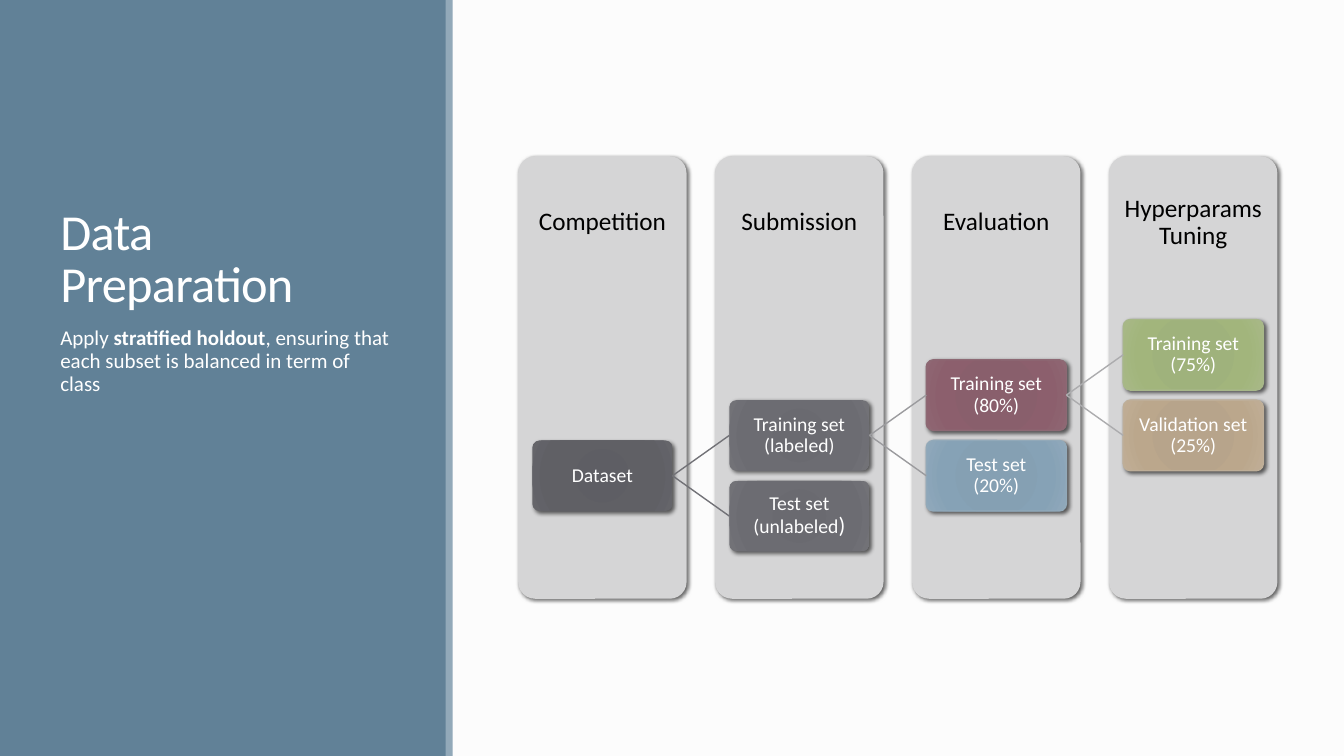
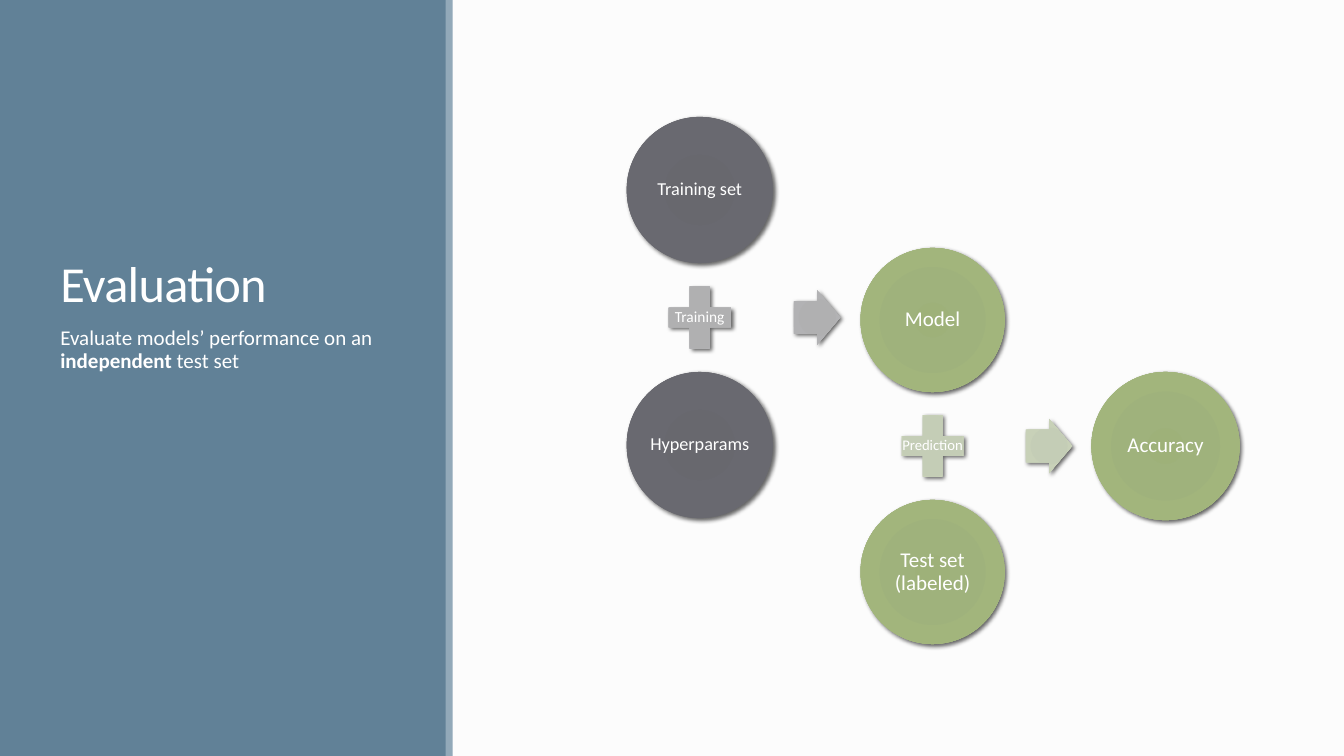
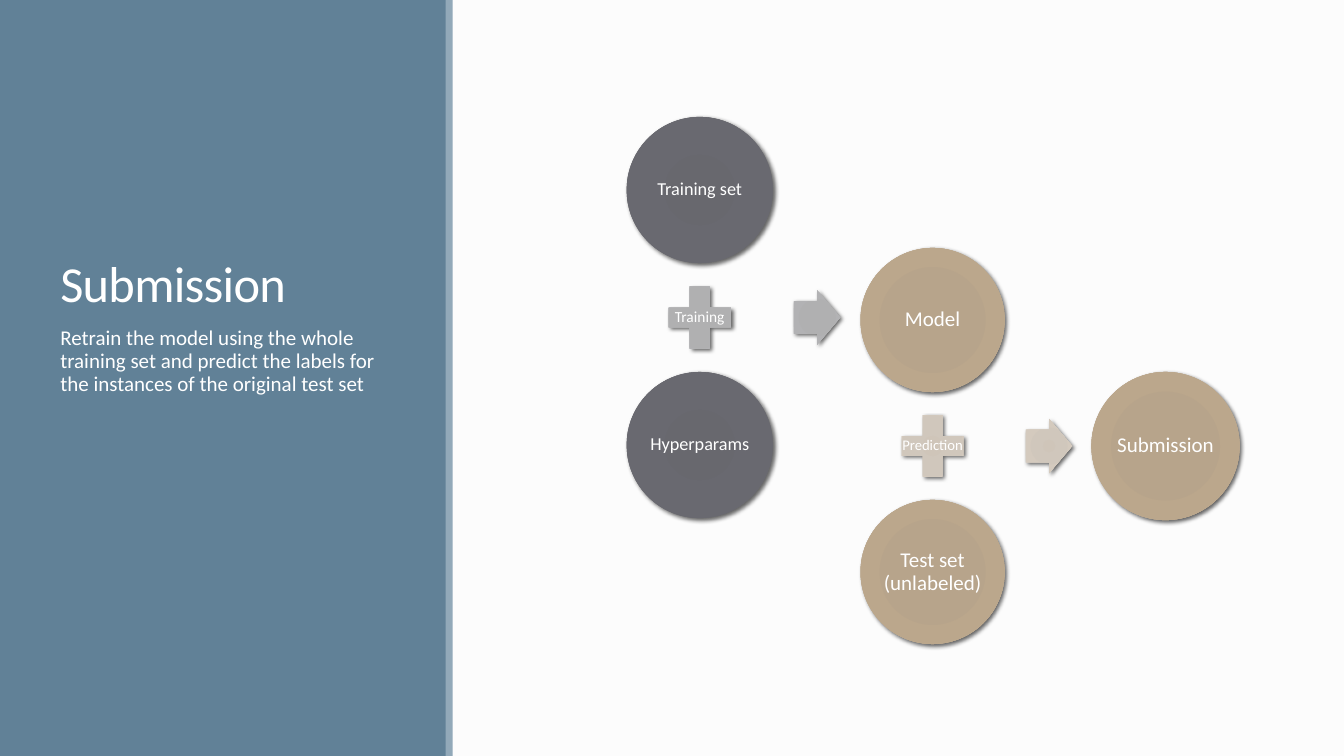
from lxml import etree
from pptx import Presentation
from pptx.dml.color import RGBColor
from pptx.enum.shapes import MSO_CONNECTOR, MSO_SHAPE
from pptx.enum.text import MSO_ANCHOR, PP_ALIGN
from pptx.oxml.ns import qn
from pptx.util import Inches, Pt

RECTANGLE = MSO_SHAPE.RECTANGLE
ROUNDED = MSO_SHAPE.ROUNDED_RECTANGLE
CIRCLE = MSO_SHAPE.OVAL
PLUS = MSO_SHAPE.MATH_PLUS
ARROW = MSO_SHAPE.RIGHT_ARROW
STRAIGHT = MSO_CONNECTOR.STRAIGHT
LEFT, CENTER = PP_ALIGN.LEFT, PP_ALIGN.CENTER
TOP, MIDDLE, BOTTOM = MSO_ANCHOR.TOP, MSO_ANCHOR.MIDDLE, MSO_ANCHOR.BOTTOM
LEFT_SITE, RIGHT_SITE = 1, 3

FONT = "Calibri"
WHITE, BLACK = "FFFFFF", "000000"
PAPER, BAND, BAND_EDGE, COLUMN = "FCFCFC", "618197", "92A9B9", "D5D5D6"

STOPS = (0, 34, 70, 100)
CHARCOAL = ("5D5D63", "5E5E64", "606065", "65656A")
SLATE = ("69696F", "6A6A70", "6C6C72", "727277")
GRAPHITE = ("67676D", "68686E", "696970", "6F6F74")
SILVER = ("AEAEB0", "B0B0B1", "B2B2B4", "BBBBBC")
PLUM = ("885D6A", "895F6C", "8C5F6D", "8F6773")
BLUE = ("839EB2", "85A0B3", "86A2B6", "90A9BB")
GREEN = ("9EB179", "9FB27C", "A2B57C", "A8B987")
PALE_GREEN = ("C3CCB4", "C4CDB6", "C8D1B8", "D0D9C3")
SAND = ("B6A388", "B7A48B", "BBA78C", "C0AE96")
PALE_SAND = ("CFC5B9", "D0C7BC", "D4CABE", "DCD3C9")


def rgb(color):
    return RGBColor.from_string(color)


def add_node(parent, tag, **attributes):
    values = {name: str(value) for name, value in attributes.items()}
    return etree.SubElement(parent, qn(tag), values)


class Deck:
    def __init__(self):
        self.deck = Presentation()
        self.deck.slide_width = Inches(13.33)
        self.deck.slide_height = Inches(7.5)
        self.page = None

    def add_page(self, title, body):
        self.page = self.deck.slides.add_slide(self.deck.slide_layouts[6])
        fill = self.page.background.fill
        fill.solid()
        fill.fore_color.rgb = rgb(PAPER)
        self.shape(RECTANGLE, 0, 0, 4.43, 7.5, BAND, shadow=False)
        self.shape(RECTANGLE, 4.42, 0, 0.07, 7.5, BAND_EDGE, shadow=False)
        heading = self.text(0.5, 0.65, 3.5, 2.5, title, 36, anchor=BOTTOM, spacing=0.85)
        for span in heading.runs:
            span._r.get_or_add_rPr().set("spc", "-50")
        para = self.text(0.5, 3.2, 3.5, 3.7, body[0], 15)
        para.space_before, para.space_after = Pt(12), Pt(2)
        for index, words in enumerate(body[1:], 1):
            span = para.add_run()
            span.text = words
            span.font.bold = index % 2 == 1

    def label(self, box, text, size, color=WHITE, align=CENTER, anchor=MIDDLE,
              spacing=0.9, inset=(0.02, 0.02), wrap=True):
        frame = box.text_frame
        frame.word_wrap = wrap
        frame.vertical_anchor = anchor
        frame.margin_left = frame.margin_right = Inches(inset[0])
        frame.margin_top = frame.margin_bottom = Inches(inset[1])
        para = frame.paragraphs[0]
        para.text = text
        para.alignment = align
        para.line_spacing = spacing
        para.font.name = FONT
        para.font.size = Pt(size)
        para.font.color.rgb = rgb(color)
        return para

    def text(self, left, top, width, height, text, size, color=WHITE, align=LEFT,
             anchor=TOP, spacing=0.9, inset=(0.1, 0.05)):
        box = self.page.shapes.add_textbox(
            Inches(left), Inches(top), Inches(width), Inches(height))
        return self.label(box, text, size, color, align, anchor, spacing, inset)

    def shape(self, kind, left, top, width, height, fill, line=None, shadow=True,
              adjust=()):
        shape = self.page.shapes.add_shape(
            kind, Inches(left), Inches(top), Inches(width), Inches(height))
        for index, value in enumerate(adjust):
            shape.adjustments[index] = value
        if isinstance(fill, str):
            shape.fill.solid()
            shape.fill.fore_color.rgb = rgb(fill)
        else:
            self.radial_fill(shape, fill)
        if line:
            shape.line.color.rgb = rgb(line)
            shape.line.width = Pt(1)
        else:
            shape.line.fill.background()
        shape.shadow.inherit = False
        if shadow:
            self.drop_shadow(shape)
        return shape

    def radial_fill(self, shape, colors):
        shape.fill.gradient()
        gradient = shape._element.spPr.find(qn("a:gradFill"))
        for child in list(gradient):
            gradient.remove(child)
        stops = add_node(gradient, "a:gsLst")
        for position, color in zip(STOPS, colors):
            stop = add_node(stops, "a:gs", pos=position * 1000)
            add_node(stop, "a:srgbClr", val=color)
        circle = add_node(gradient, "a:path", path="circle")
        add_node(circle, "a:fillToRect", l=100000, t=100000, r=100000, b=100000)

    def drop_shadow(self, shape):
        effects = shape._element.spPr.find(qn("a:effectLst"))
        outer = add_node(effects, "a:outerShdw", blurRad=Pt(3), dist=Pt(2),
                         dir=45 * 60000, algn="ctr", rotWithShape=0)
        add_node(add_node(outer, "a:srgbClr", val=BLACK), "a:alpha", val=60000)

    def link(self, parent, child, color):
        link = self.page.shapes.add_connector(STRAIGHT, 0, 0, 0, 0)
        link.begin_connect(parent, RIGHT_SITE)
        link.end_connect(child, LEFT_SITE)
        link.line.color.rgb = rgb(color)
        link.line.width = Pt(1)
        add_node(link._element.spPr, "a:effectLst")

    def circle(self, center, top, size, fill, text, points):
        self.label(self.shape(CIRCLE, center - size / 2, top, size, size, fill),
                   text, points)

    def sum_stack(self, center, top, size, plus, labels, fill, pale, points, plus_points):
        gap = 0.12
        plus_top = top + size + gap
        first, operation, second = labels
        self.circle(center, top, size, fill, first, points)
        sign = self.shape(PLUS, center - plus / 2, plus_top, plus, plus, pale)
        self.label(sign, operation, plus_points, inset=(0, 0), wrap=False)
        self.circle(center, plus_top + plus + gap, size, fill, second, points)
        middle = plus_top + plus / 2
        self.shape(ARROW, center + size / 2 + 0.21, middle - 0.27, 0.46, 0.54, pale,
                   adjust=(0.6, 0.5))
        return middle

    def add_flow(self, fill, pale, test_set, result):
        self.sum_stack(6.94, 1.16, 1.45, 0.84, ("Training set", "Training", "Hyperparams"),
                       GRAPHITE, SILVER, 13, 11)
        middle = self.sum_stack(9.25, 2.46, 1.43, 0.83, ("Model", "Prediction", test_set),
                                fill, pale, 15, 10.5)
        size = 1.47
        self.circle(11.56, middle - size / 2, size, fill, result, 15)

    def add_split_tree(self, headers, nodes, link_colors):
        lefts = [5.14 + index * (11 - 5.14) / 3 for index in range(len(headers))]
        for left, header in zip(lefts, headers):
            self.shape(ROUNDED, left, 1.55, 1.67, 4.39, COLUMN, adjust=(0.1,))
            self.text(left, 1.55, 1.67, 1.32, header, 18, BLACK, CENTER, MIDDLE,
                      inset=(0.14, 0.14))
        boxes = []
        for column, step, text, fill, line, parent in nodes:
            box = self.shape(ROUNDED, lefts[column] + 0.14, 3.17 + 0.4 * step, 1.39, 0.7,
                             fill, line, adjust=(0.1,))
            para = self.label(box, text, 14)
            if text.endswith("(unlabeled"):
                span = para.add_run()
                span.text = ")"
                span.font.size = Pt(16)
            if parent is not None:
                self.link(boxes[parent], box, link_colors[column - 1])
            boxes.append(box)


def main():
    slides = Deck()

    slides.add_page("Data Preparation", (
        "Apply ", "stratified holdout",
        ", ensuring that each subset is balanced in term of class"))
    slides.add_split_tree(
        ("Competition", "Submission", "Evaluation", "Hyperparams Tuning"),
        (
            (0, 3, "Dataset", CHARCOAL, None, None),
            (1, 2, "Training set\n(labeled)", SLATE, None, 0),
            (1, 4, "Test set\n(unlabeled", SLATE, None, 0),
            (2, 1, "Training set\n(80%)", PLUM, "8D6974", 1),
            (2, 3, "Test set\n(20%)", BLUE, "92A9B9", 1),
            (3, 0, "Training set\n(75%)", GREEN, "A7B789", 3),
            (3, 2, "Validation set\n(25%)", SAND, "BEAE98", 3),
        ),
        ("727277", "9B9B9E", "ACACAE"))

    slides.add_page("Evaluation", (
        "Evaluate models’ performance on an ", "independent ", "test set"))
    slides.add_flow(GREEN, PALE_GREEN, "Test set\n(labeled)", "Accuracy")

    slides.add_page("Submission", (
        "Retrain the model using the whole training set and predict the labels "
        "for the instances of the original test set",))
    slides.add_flow(SAND, PALE_SAND, "Test set\n(unlabeled)", "Submission")

    slides.deck.save("out.pptx")


if __name__ == "__main__":
    main()
